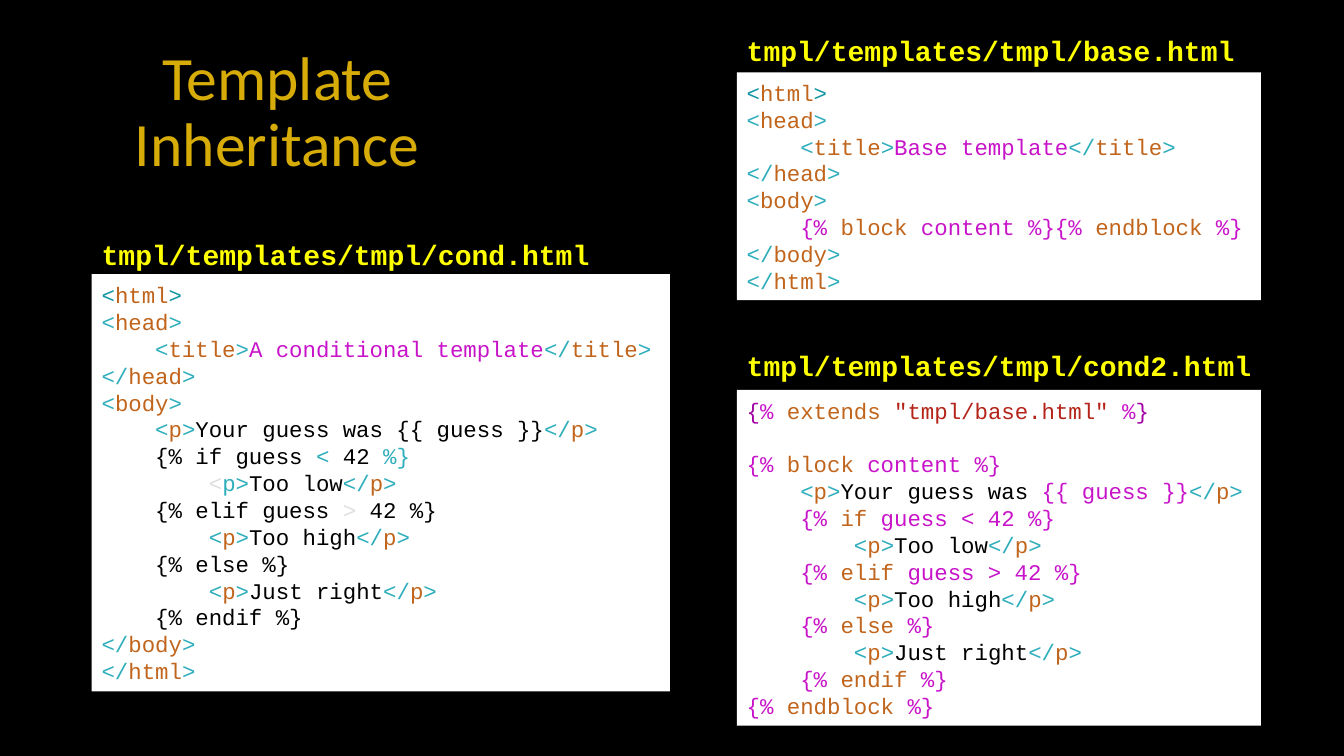
from pptx import Presentation
from pptx.dml.color import RGBColor
from pptx.enum import shapes, text
from pptx.util import Pt

BLACK = RGBColor(0x00, 0x00, 0x00)
WHITE = RGBColor(0xFF, 0xFF, 0xFF)
GOLD = RGBColor(0xD7, 0xAC, 0x08)
YELLOW = RGBColor(0xFF, 0xFF, 0x00)
DARK_TEAL = RGBColor(0x13, 0x96, 0xA3)
TEAL = RGBColor(0x2E, 0xAE, 0xBB)
ORANGE = RGBColor(0xC1, 0x65, 0x1C)
MAGENTA = RGBColor(0xC8, 0x14, 0xC9)
PURPLE = RGBColor(0xA1, 0x00, 0xA3)
RED = RGBColor(0xB4, 0x24, 0x19)
GREY = RGBColor(0xDF, 0xDF, 0xDF)
CODE_FONT = "Courier New"
CODE_SIZE = 16
CODE_LINE = 19.2


def tag(name, bracket=TEAL):
    opening = "</" if name.startswith("/") else "<"
    return [(opening, bracket), (name.lstrip("/"), ORANGE), (">", bracket)]


def element(indent, name, *content):
    return [(" " * indent, BLACK), *tag(name), *content, *tag("/" + name)]


def command(indent, name, rest=""):
    runs = [("{% ", MAGENTA), (name, ORANGE), (rest + " %}", MAGENTA)]
    return [(" " * indent, BLACK), *runs] if indent else runs


def plain(line):
    return [(line, BLACK)]


def page_head(title):
    return [tag("html", DARK_TEAL), tag("head"),
            element(4, "title", (title, MAGENTA)), tag("/head"), tag("body")]


PAGE_END = [tag("/body"), tag("/html")]

BASE = page_head("Base template") + [
    command(4, "block", " content") + command(0, "endblock"),
] + PAGE_END

COND = page_head("A conditional template") + [
    element(4, "p", ("Your guess was {{ guess }}", BLACK)),
    [("    {% if guess ", BLACK), ("<", TEAL), (" 42", BLACK), (" %}", TEAL)],
    [("        ", BLACK), ("<", GREY), ("p>", TEAL), ("Too low", BLACK), *tag("/p")],
    [("    {% elif guess ", BLACK), (">", GREY), (" 42 %}", BLACK)],
    element(8, "p", ("Too high", BLACK)),
    plain("    {% else %}"),
    element(8, "p", ("Just right", BLACK)),
    plain("    {% endif %}"),
] + PAGE_END

COND2 = [
    [("{", PURPLE), ("% ", MAGENTA), ("extends ", ORANGE),
     ('"tmpl/base.html"', RED), (" %", MAGENTA), ("}", PURPLE)],
    command(0, "block", " content"),
    element(4, "p", ("Your guess was ", BLACK), ("{{ guess }}", MAGENTA)),
    command(4, "if", " guess < 42"),
    element(8, "p", ("Too low", BLACK)),
    command(4, "elif", " guess > 42"),
    element(8, "p", ("Too high", BLACK)),
    command(4, "else"),
    element(8, "p", ("Just right", BLACK)),
    command(4, "endif"),
    command(0, "endblock"),
]


def add_text(paragraph, words, font=CODE_FONT, size=CODE_SIZE, color=BLACK, bold=False):
    run = paragraph.add_run()
    run.text = words
    run.font.name = font
    run.font.size = Pt(size)
    run.font.color.rgb = color
    run.font.bold = bold


def add_title(slide, words, left, top, width, height):
    title = slide.shapes.title
    title.left, title.top, title.width, title.height = map(Pt, (left, top, width, height))
    title.text_frame.vertical_anchor = text.MSO_ANCHOR.MIDDLE
    paragraph = title.text_frame.paragraphs[0]
    paragraph.alignment = text.PP_ALIGN.CENTER
    paragraph.line_spacing = 0.9
    add_text(paragraph, words, font="Calibri", size=44, color=GOLD)


def add_listing(slide, file_name, lines, left, top, width, height,
                label_rise, label_width=365.8, gap_before=None):
    box = slide.shapes.add_shape(
        shapes.MSO_SHAPE.RECTANGLE, Pt(left), Pt(top), Pt(width), Pt(height))
    box.shadow.inherit = False
    box.fill.solid()
    box.fill.fore_color.rgb = WHITE
    box.line.fill.background()
    frame = box.text_frame
    frame.word_wrap = False
    frame.vertical_anchor = text.MSO_ANCHOR.MIDDLE
    for index, line in enumerate(lines):
        paragraph = frame.add_paragraph() if index else frame.paragraphs[0]
        paragraph.alignment = text.PP_ALIGN.LEFT
        if index == gap_before:
            paragraph.space_before = Pt(CODE_LINE)
        for words, color in line:
            add_text(paragraph, words, color=color)

    label = slide.shapes.add_textbox(
        Pt(left), Pt(top - label_rise), Pt(label_width), Pt(31.5))
    label.text_frame.word_wrap = False
    label.text_frame.auto_size = text.MSO_AUTO_SIZE.SHAPE_TO_FIT_TEXT
    add_text(label.text_frame.paragraphs[0], file_name, size=20, color=YELLOW, bold=True)


def main():
    presentation = Presentation()
    presentation.slide_width = Pt(960)
    presentation.slide_height = Pt(540)
    slide = presentation.slides.add_slide(presentation.slide_layouts[5])
    slide.background.fill.solid()
    slide.background.fill.fore_color.rgb = BLACK
    add_title(slide, "Template Inheritance", 24, 29, 348.5, 104.5)
    folder = "tmpl/templates/tmpl/"
    add_listing(slide, folder + "cond.html", COND, 65.5, 195.8, 413, 298, 29.5)
    add_listing(slide, folder + "base.html", BASE, 526.3, 51.8, 374.4, 162.7, 31.6)
    add_listing(slide, folder + "cond2.html", COND2, 526.3, 278.6, 374.4, 239.8, 33.1,
                label_width=378, gap_before=1)
    presentation.save("out.pptx")


if __name__ == "__main__":
    main()
